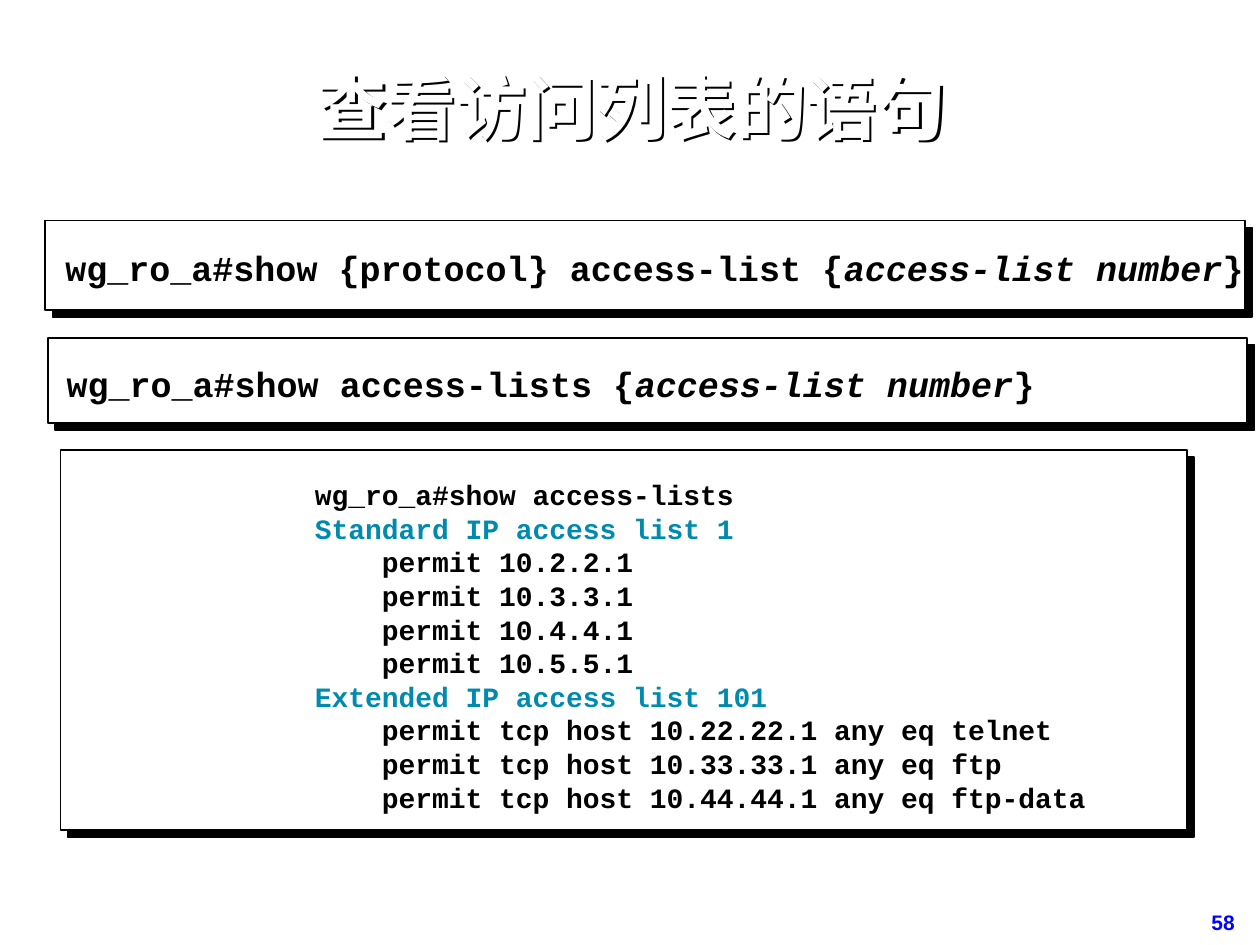
from dataclasses import dataclass

import pptx
import pptx.dml.color
import pptx.enum.shapes
import pptx.enum.text
import pptx.oxml
import pptx.oxml.ns
import pptx.util

Inches = pptx.util.Inches
Pt = pptx.util.Pt
Color = pptx.dml.color.RGBColor.from_string
Align = pptx.enum.text.PP_ALIGN
Anchor = pptx.enum.text.MSO_ANCHOR


@dataclass(frozen=True)
class Theme:
    ink: str = "000000"
    paper: str = "FFFFFF"
    head: str = "008AAE"
    page: str = "0000FF"
    sans: str = "Arial"
    mono: str = "Courier New"
    title: int = 40
    command: int = 20
    code: int = 16
    number: int = 12


@dataclass(frozen=True)
class Area:
    left: float
    top: float
    width: float
    height: float

    def spot(self) -> tuple:
        return tuple(map(Inches, (self.left, self.top, self.width, self.height)))


@dataclass(frozen=True)
class Command:
    panel: Area
    text: Area
    start: str


THEME = Theme()
COMMANDS = (
    Command(Area(0.36, 1.75, 9.52, 0.71), Area(-0.58, 1.9, 10.84, 0.44),
            "wg_ro_a#show {protocol} access-list {"),
    Command(Area(0.38, 2.68, 9.52, 0.68), Area(-0.57, 2.82, 10.84, 0.44),
            "wg_ro_a#show access-lists {"),
)
OUTPUT = (
    "wg_ro_a#show access-lists",
    "Standard IP access list 1",
    "    permit 10.2.2.1",
    "    permit 10.3.3.1",
    "    permit 10.4.4.1",
    "    permit 10.5.5.1",
    "Extended IP access list 101",
    "    permit tcp host 10.22.22.1 any eq telnet",
    "    permit tcp host 10.33.33.1 any eq ftp",
    "    permit tcp host 10.44.44.1 any eq ftp-data",
)


def shade(shape, reach: float) -> None:
    shape.shadow.inherit = False
    effects = shape._element.spPr.find(pptx.oxml.ns.qn("a:effectLst"))
    effects.append(pptx.oxml.parse_xml(
        f'<a:outerShdw {pptx.oxml.ns.nsdecls("a")} dist="{Pt(reach)}" '
        f'dir="2700000" algn="ctr" rotWithShape="0">'
        f'<a:srgbClr val="{THEME.ink}"/></a:outerShdw>'))


def style(font, face: str, size: int, color: str) -> None:
    font.name = face
    font.size = Pt(size)
    font.bold = True
    font.color.rgb = Color(color)


def panel(slide, area: Area) -> None:
    kind = pptx.enum.shapes.MSO_SHAPE.RECTANGLE
    shape = slide.shapes.add_shape(kind, *area.spot())
    shape.fill.solid()
    shape.fill.fore_color.rgb = Color(THEME.paper)
    shape.line.color.rgb = Color(THEME.ink)
    shape.line.width = Pt(1)
    shade(shape, 5.7)


def textbox(slide, area: Area, wrap: bool):
    frame = slide.shapes.add_textbox(*area.spot()).text_frame
    frame.word_wrap = wrap
    frame.vertical_anchor = Anchor.MIDDLE
    return frame


def indent(line) -> None:
    line._p.get_or_add_pPr().set("marL", str(Inches(1)))


def command(slide, item: Command) -> None:
    panel(slide, item.panel)
    line = textbox(slide, item.text, True).paragraphs[0]
    indent(line)
    style(line.font, THEME.mono, THEME.command, THEME.ink)
    for text, slant in ((item.start, False), ("access-list number", True), ("}", False)):
        run = line.add_run()
        run.text = text
        run.font.italic = slant


def output(slide) -> None:
    panel(slide, Area(0.48, 3.57, 8.94, 3.02))
    frame = textbox(slide, Area(1.4, 3.74, 7.32, 2.77), False)
    frame.text = "\n".join(OUTPUT)
    for line in frame.paragraphs:
        indent(line)
        color = THEME.head if "access list" in line.text else THEME.ink
        style(line.font, THEME.mono, THEME.code, color)


def heading(slide) -> None:
    title = slide.shapes.title
    title.left, title.top, title.width, title.height = Area(0.84, 0.26, 8.34, 1.25).spot()
    title.text = "查看访问列表的语句"
    title.text_frame.vertical_anchor = Anchor.MIDDLE
    line = title.text_frame.paragraphs[0]
    line.alignment = Align.CENTER
    line.line_spacing = 0.9
    style(line.font, THEME.sans, THEME.title, THEME.paper)
    title.fill.background()
    shade(title, 2)


def number(slide) -> None:
    frame = textbox(slide, Area(8.9, 7.17, 0.99, 0.29), True)
    frame.margin_left = frame.margin_right = Inches(0.09)
    frame.margin_top = frame.margin_bottom = Inches(0.04)
    line = frame.paragraphs[0]
    line.text = "58"
    line.alignment = Align.RIGHT
    style(line.font, THEME.sans, THEME.number, THEME.page)


def main() -> None:
    deck = pptx.Presentation()
    deck.slide_width, deck.slide_height = Inches(10), Inches(7.5)
    slide = deck.slides.add_slide(deck.slide_layouts[5])
    heading(slide)
    for item in COMMANDS:
        command(slide, item)
    output(slide)
    number(slide)
    deck.save("out.pptx")


if __name__ == "__main__":
    main()
